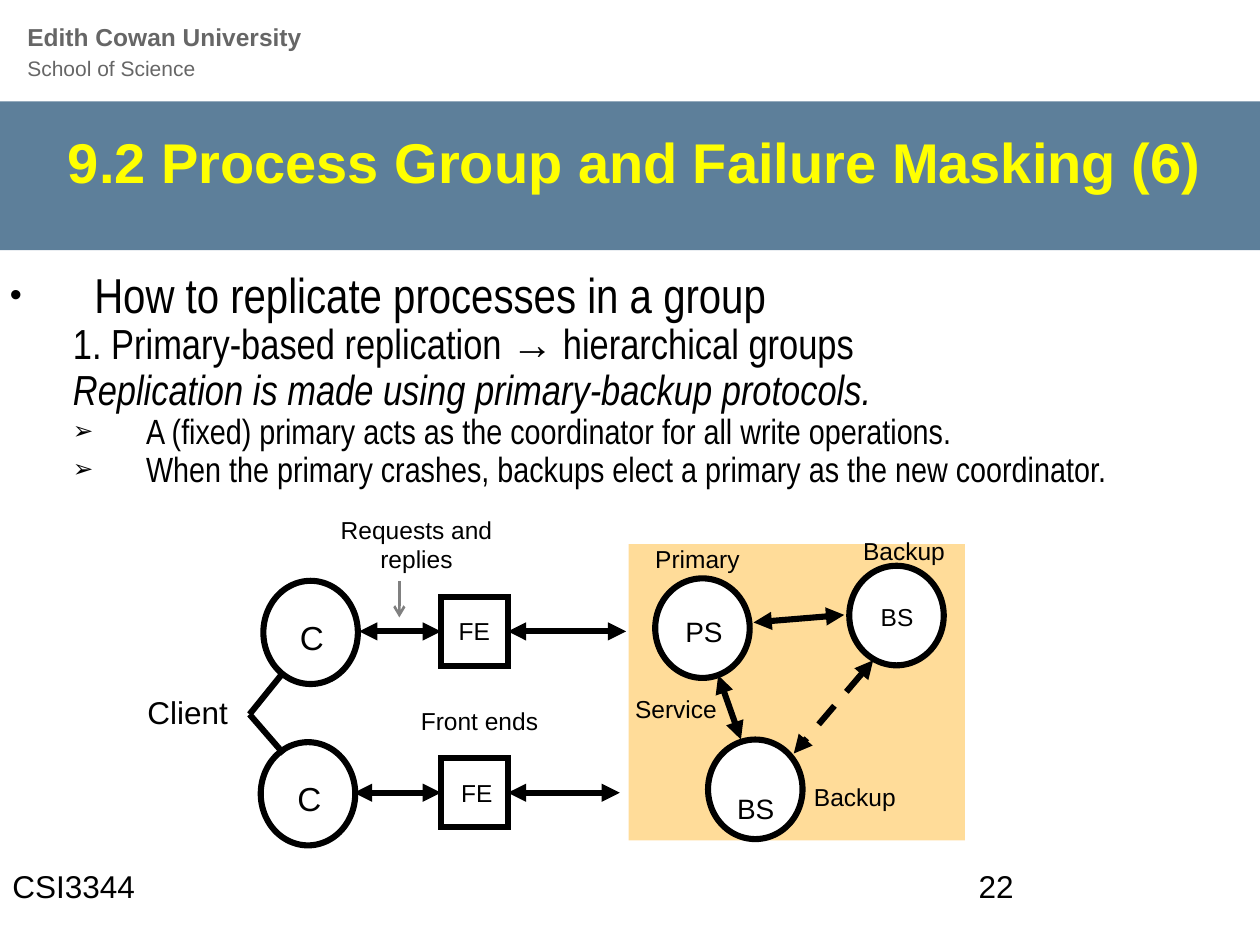
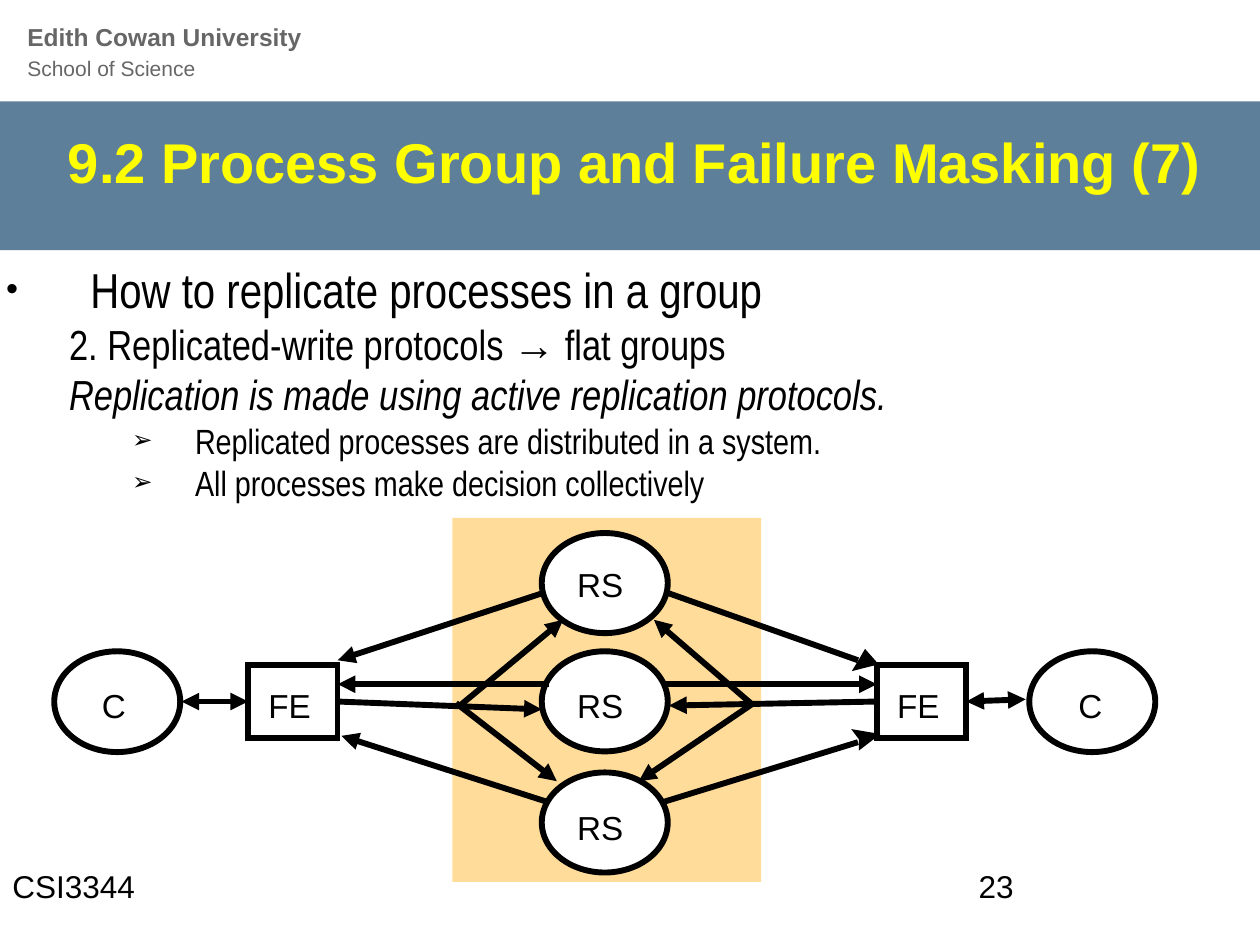
"""Builds two lecture slides on replicating processes in a group."""
from lxml import etree
from pptx import Presentation
from pptx.dml.color import RGBColor
from pptx.enum.dml import MSO_LINE
from pptx.enum.shapes import MSO_CONNECTOR, MSO_SHAPE
from pptx.enum.text import MSO_ANCHOR, PP_ALIGN
from pptx.oxml.ns import qn
from pptx.util import Pt

RECTANGLE, OVAL = MSO_SHAPE.RECTANGLE, MSO_SHAPE.OVAL
STRAIGHT, DASH = MSO_CONNECTOR.STRAIGHT, MSO_LINE.DASH
MIDDLE = MSO_ANCHOR.MIDDLE
LEFT, CENTER, RIGHT = PP_ALIGN.LEFT, PP_ALIGN.CENTER, PP_ALIGN.RIGHT
LEFT_SIDE, RIGHT_SIDE = 1, 3
BOTH = ("triangle", "triangle")
FORWARD = (None, "triangle")
PLAIN = (None, None)
LABEL_SLACK = 8

COLORS = {
    "band": "5D7F9A",
    "header": "666666",
    "title": "FFFF00",
    "text": "000000",
    "service": "FFDC99",
    "node": "FFFFFF",
    "pointer": "808080",
}
TOPIC = (48.2, -48.2, "•")
POINT = (77.8, -41.8, None)
ARROW_POINT = (77.8, -41.8, "➢")
DEEP_POINT = (108, -36, "➢")


def color(name):
    return RGBColor.from_string(COLORS[name])


class Lecture:
    """Holds the deck, its style and the current page."""

    def __init__(self):
        self.deck = Presentation()
        self.deck.slide_width, self.deck.slide_height = Pt(720), Pt(540)
        self.page = None
        self.weight = 3.5

    def start_page(self, title, number, weight):
        self.page = self.deck.slides.add_slide(self.deck.slide_layouts[6])
        self.weight = weight
        self.shape(RECTANGLE, 0, 58, 722.9, 85, "band", outlined=False)
        header = self.text("Edith Cowan University\vSchool of Science",
                           8.6, 9.4, 424, 41, 14, "header")
        para = header.text_frame.paragraphs[0]
        para.line_spacing = Pt(16.7)
        para.runs[0].font.bold = True
        para.runs[1].font.size = Pt(12)
        heading = self.text(title, 19.4, 66.6, 674.6, 51.1, 32, "title", RIGHT)
        heading.text_frame.vertical_anchor = MIDDLE
        heading.text_frame.paragraphs[0].runs[0].font.bold = True
        for left, words in ((0, "CSI3344"), (552.2, number)):
            self.text(words, left, 491.8, 167.8, 36, 18)

    def text(self, words, left, top, width, height, size, tint="text", align=LEFT):
        box = self.page.shapes.add_textbox(Pt(left), Pt(top), Pt(width), Pt(height))
        frame = box.text_frame
        frame.word_wrap = True
        frame.text = words
        para = frame.paragraphs[0]
        para.alignment = align
        for span in para.runs:
            self.style(span, size, "Arial", tint)
        return box

    def style(self, span, size, font, tint="text"):
        span.font.name, span.font.size = font, Pt(size)
        span.font.color.rgb = color(tint)

    def label(self, words, left, top, width, size=14, lines=1, align=LEFT):
        slack = LABEL_SLACK if align == LEFT else 0
        box = self.text(words, left, top, width + slack, size * 1.2 * lines, size,
                        align=align)
        frame = box.text_frame
        frame.margin_left = frame.margin_right = 0
        frame.margin_top = frame.margin_bottom = 0

    def outline(self, left, top, items, spacing):
        box = self.page.shapes.add_textbox(Pt(left), Pt(top), Pt(705.6), Pt(329))
        frame = box.text_frame
        frame.word_wrap = True
        for index, (words, size, italic, layout) in enumerate(items):
            para = frame.add_paragraph() if index else frame.paragraphs[0]
            para.line_spacing = spacing
            self.bullet(para, *layout)
            for part in filter(None, words.partition("→")):
                span = para.add_run()
                span.text = part
                self.style(span, size, "Arial" if part == "→" else "Arial Narrow")
                span.font.italic = italic

    def bullet(self, para, margin, indent, mark):
        properties = para._p.get_or_add_pPr()
        properties.set("marL", str(Pt(margin)))
        properties.set("indent", str(Pt(indent)))
        if mark is None:
            etree.SubElement(properties, qn("a:buNone"))
            return
        tint = etree.SubElement(properties, qn("a:buClr"))
        etree.SubElement(tint, qn("a:srgbClr"), val=COLORS["text"])
        etree.SubElement(properties, qn("a:buSzPct"), val="70000")
        etree.SubElement(properties, qn("a:buFont"), typeface="Arial")
        etree.SubElement(properties, qn("a:buChar"), char=mark)

    def shape(self, kind, left, top, width, height, fill=None, outlined=True):
        shape = self.page.shapes.add_shape(kind, Pt(left), Pt(top), Pt(width), Pt(height))
        return self.paint(shape, fill, outlined)

    def polygon(self, points, fill):
        corners = [(Pt(x), Pt(y)) for x, y in points]
        builder = self.page.shapes.build_freeform(*corners[0])
        builder.add_line_segments(corners[1:], close=True)
        return self.paint(builder.convert_to_shape(), fill, True)

    def paint(self, shape, fill, outlined):
        shape.shadow.inherit = False
        if fill:
            shape.fill.solid()
            shape.fill.fore_color.rgb = color(fill)
        else:
            shape.fill.background()
        if outlined:
            shape.line.color.rgb = color("text")
            shape.line.width = Pt(self.weight)
            etree.SubElement(shape.get_or_add_ln(), qn("a:miter"), lim="800000")
        else:
            shape.line.fill.background()
        return shape

    def link(self, start, end, heads=FORWARD, joined=None, tint="text",
             weight=None, dash=None):
        line = self.page.shapes.add_connector(STRAIGHT, *map(Pt, start + end))
        if joined:
            line.begin_connect(*joined)
        line.line.color.rgb = color(tint)
        line.line.width = Pt(weight or self.weight)
        if dash:
            line.line.dash_style = dash
        for tag, head in zip(("a:headEnd", "a:tailEnd"), heads):
            if head:
                etree.SubElement(line.get_or_add_ln(), qn(tag), type=head)
        etree.SubElement(line.element.spPr, qn("a:effectLst"))


def primary_page(lecture):
    lecture.start_page("9.2 Process Group and Failure Masking (6)", "22", 3.5)
    lecture.outline(-1.4, 151.2, [
        ("How to replicate processes in a group", 28, False, TOPIC),
        ("1. Primary-based replication → hierarchical groups", 24, False, POINT),
        ("Replication is made using primary-backup protocols.", 24, True, POINT),
        ("A (fixed) primary acts as the coordinator for all write operations.",
         20, False, ARROW_POINT),
        ("When the primary crashes, backups elect a primary as the new coordinator.",
         20, False, ARROW_POINT),
    ], 0.9)
    lecture.shape(RECTANGLE, 359.3, 311, 192.2, 169.2, "service", outlined=False)
    rows = ((0, 0, 0, 357.8), (92.2, -1.5, 1.4, 354.2))
    for drop, client_shift, label_shift, service_edge in rows:
        lecture.shape(OVAL, 150.5 + client_shift, 331.9 + drop, 54, 59)
        lecture.label("C", 171.4 + client_shift, 352.8 + drop, 13.7, 19)
        front_end = lecture.shape(RECTANGLE, 252, 341 + drop, 38.2, 39.6, "node")
        lecture.label("FE", 262.1 + label_shift, 352.2 + drop, 18)
        middle = 360.8 + drop
        lecture.link((252, middle), (205.2 + 2 * client_shift, middle), BOTH,
                     (front_end, LEFT_SIDE))
        lecture.link((290.2, middle), (service_edge, middle), BOTH,
                     (front_end, RIGHT_SIDE))
    for end in ((160.6, 385.9), (162, 430.6)):
        lecture.link((142.6, 408.2), end, PLAIN)
    lecture.link((228.2, 331.9), (228.2, 352.8), (None, "arrow"),
                 tint="pointer", weight=1.5)
    lecture.link((430.6, 355.7), (482.4, 351.4), BOTH)
    lecture.link((423.4, 422.6), (410.4, 385.9), BOTH)
    lecture.link((499, 377.3), (453.6, 430.6), BOTH, dash=DASH)
    for left, top in ((374.4, 330.5), (404.6, 422.6), (485.3, 323.3)):
        lecture.shape(OVAL, left, top, 54, 56.9, "node")
    lecture.label("PS", 391.7, 351.4, 21.6, 16)
    lecture.label("BS", 421.2, 452.2, 21.6, 16)
    lecture.label("BS", 503.3, 344.2, 18.7)
    lecture.label("Primary", 374.4, 311, 48.2)
    lecture.label("Backup", 493.2, 306, 46.8)
    lecture.label("Backup", 465.1, 447.1, 46.8)
    lecture.label("Service", 362.9, 396.7, 46.8)
    lecture.label("Front ends", 240.5, 403.2, 67)
    lecture.label("Client", 84.2, 396, 46.1, 18)
    lecture.label("Requests and replies", 193, 294.2, 90, lines=2, align=CENTER)


def replicated_write_page(lecture):
    lecture.start_page("9.2 Process Group and Failure Masking (7)", "23", 3.37)
    lecture.outline(-3.6, 144.7, [
        ("How to replicate processes in a group", 28, False, TOPIC),
        ("2. Replicated-write protocols → flat groups", 24, False, POINT),
        ("Replication is made using active replication protocols.", 24, True, POINT),
        ("Replicated processes are distributed in a system.", 20, False, DEEP_POINT),
        ("All processes make decision collectively", 20, False, DEEP_POINT),
    ], 1.0)
    lecture.shape(RECTANGLE, 258.5, 295.9, 176.4, 208.1, "service", outlined=False)
    for top, label_top in ((304.6, 322.6), (372.2, 391.7), (441.4, 461.5)):
        lecture.shape(OVAL, 309.6, top, 72, 57.2, "node")
        lecture.label("RS", 329.8, label_top, 26.6, 19)
    for left, label_left in ((31, 58.3), (588.2, 616.3)):
        lecture.shape(OVAL, left, 372.2, 72, 57.6)
        lecture.label("C", label_left, 391.7, 13.7, 19)
    front_ends = []
    for left in (141.8, 501.1):
        front_ends.append(lecture.shape(RECTANGLE, left, 380, 51.1, 41.8))
        lecture.label("FE", left + 11.6, 391.7, 24.5, 19)
    near, far = front_ends
    lecture.link((141.8, 400.9), (103.7, 400.9), BOTH, (near, LEFT_SIDE))
    lecture.link((192.9, 400.9), (309.6, 405.4), joined=(near, RIGHT_SIDE))
    lecture.link((501.1, 400.9), (382.3, 403.2), joined=(far, LEFT_SIDE))
    lecture.link((552.2, 400.9), (586.1, 399.6), BOTH, (far, RIGHT_SIDE))
    for start, end in (
        ((262.8, 403.2), (321.8, 354.2)),
        ((260.6, 401.8), (318.2, 446.4)),
        ((309.6, 339.1), (193, 377.3)),
        ((313.9, 458.6), (195.1, 420.5)),
        ((313.9, 391), (193, 391)),
        ((430.6, 403.2), (373.7, 354.2)),
        ((430.6, 401.8), (365, 446.4)),
        ((380.2, 391), (501.1, 391)),
    ):
        lecture.link(start, end)
    lecture.link((382.3, 339.1), (490.3, 377.3), PLAIN)
    lecture.link((378, 458.6), (490.3, 424.1), PLAIN)
    lecture.polygon([(492.5, 377.3), (494.6, 373.7), (499, 378.7), (490.3, 380.9)], "text")
    lecture.polygon([(492.5, 421.9), (490.3, 419), (499, 420.5), (492.5, 425.5)], "text")


def main():
    lecture = Lecture()
    primary_page(lecture)
    replicated_write_page(lecture)
    lecture.deck.save("out.pptx")


if __name__ == "__main__":
    main()
